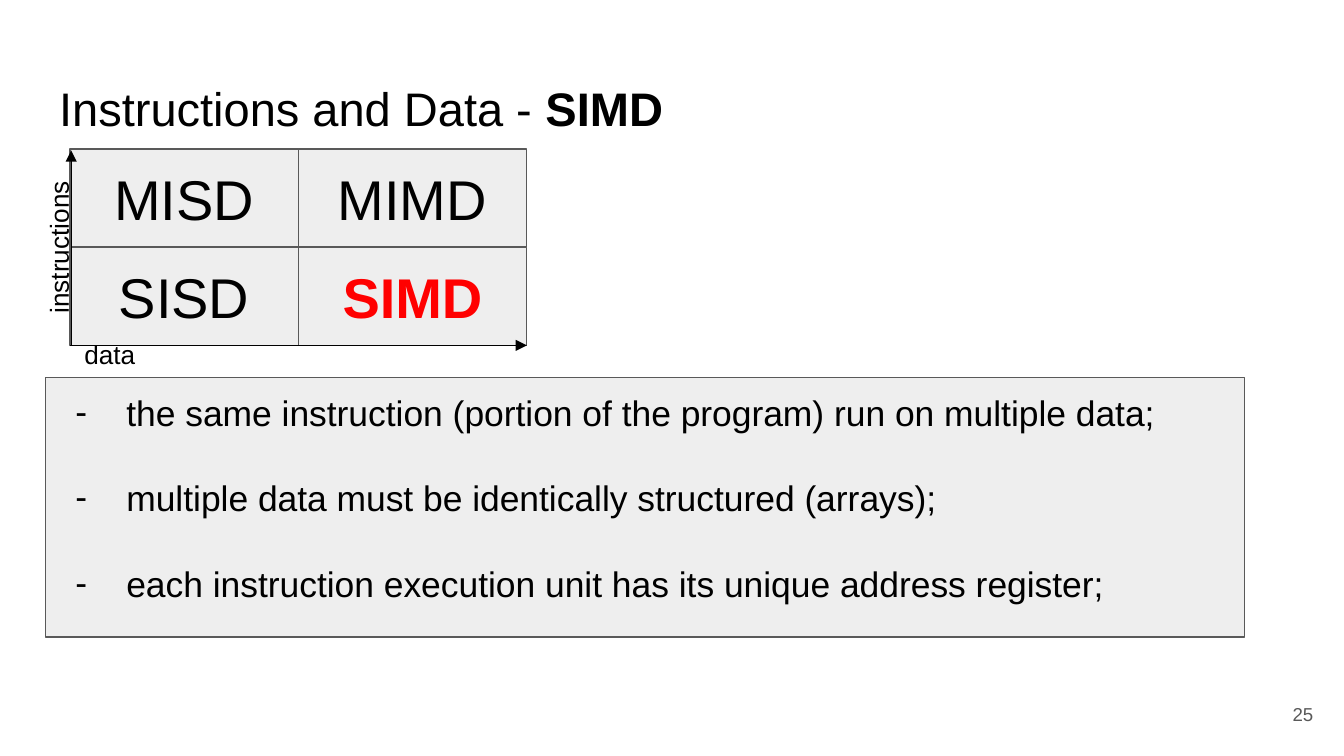
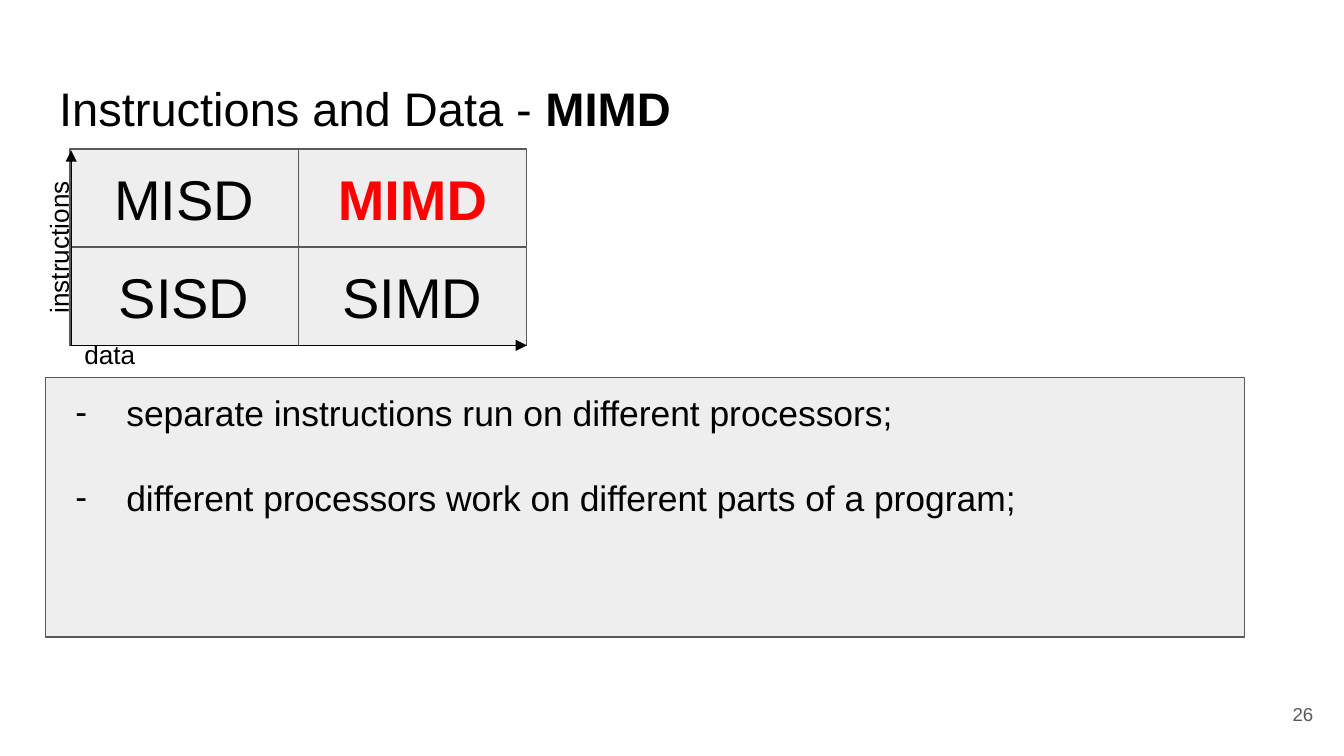
from lxml.etree import SubElement
from pptx import Presentation
from pptx.dml.color import RGBColor
from pptx.enum.shapes import MSO_CONNECTOR as Connector, MSO_SHAPE as Preset
from pptx.enum.text import MSO_ANCHOR as Anchor, MSO_AUTO_SIZE as AutoSize, PP_ALIGN as Align
from pptx.oxml.ns import qn
from pptx.util import Inches, Pt

SLIDES = [
    (25, "SIMD", [
        "the same instruction (portion of the program) run on multiple data;",
        "multiple data must be identically structured (arrays);",
        "each instruction execution unit has its unique address register;",
    ]),
    (26, "MIMD", [
        "separate instructions run on different processors;",
        "different processors work on different parts of a program;",
    ]),
]
TITLE_START = "Instructions and Data - "
TAXONOMY = [["MISD", "MIMD"], ["SISD", "SIMD"]]
VERTICAL_LABEL, HORIZONTAL_LABEL = "instructions", "data"

FONT = "Arial"
BLACK, RED, GRAY, PALE = "000000", "FF0000", "595959", "EEEEEE"
WIDTH = 10
HEIGHT = WIDTH * 9 / 16
MARGIN = 0.34
GRID_LEFT, GRID_TOP = 0.52, 1.11
CELL_WIDTH, CELL_HEIGHT = 1.7, 0.73
GRID_RIGHT = GRID_LEFT + CELL_WIDTH * len(TAXONOMY[0])
GRID_BOTTOM = GRID_TOP + CELL_HEIGHT * len(TAXONOMY)
INSET = 0.1


def color(value):
    return RGBColor.from_string(value)


def place(shape, left, top, width, height):
    shape.left, shape.top = Inches(left), Inches(top)
    shape.width, shape.height = Inches(width), Inches(height)


def paint(shape):
    shape.fill.solid()
    shape.fill.fore_color.rgb = color(PALE)
    shape.line.color.rgb = color(GRAY)
    shape.line.width = Pt(0.75)


def add_dash(paragraph):
    properties = paragraph._p.get_or_add_pPr()
    properties.set("marL", str(Inches(0.5)))
    properties.set("indent", str(Inches(-0.38)))
    bullet_color = SubElement(properties, qn("a:buClr"))
    SubElement(bullet_color, qn("a:srgbClr"), val=BLACK)
    SubElement(properties, qn("a:buFont"), typeface=FONT)
    SubElement(properties, qn("a:buChar"), char="-")


def write(shape, paragraphs, size, ink=BLACK, bold=(), align=Align.LEFT,
          anchor=Anchor.MIDDLE, gap=0, dashes=False):
    frame = shape.text_frame
    frame.word_wrap = True
    frame.auto_size = AutoSize.NONE
    frame.vertical_anchor = anchor
    frame.margin_left = frame.margin_right = Inches(INSET)
    frame.margin_top = frame.margin_bottom = Inches(INSET)
    for index, runs in enumerate(paragraphs):
        paragraph = frame.add_paragraph() if index else frame.paragraphs[0]
        paragraph.alignment = align
        paragraph.space_before = Pt(gap if index else 0)
        if dashes:
            add_dash(paragraph)
        for text in runs:
            run = paragraph.add_run()
            run.text = text
            run.font.name, run.font.size = FONT, Pt(size)
            run.font.bold = text in bold
            run.font.color.rgb = color(ink)


def add_label(shapes, box, text, size, **style):
    label = shapes.add_textbox(*map(Inches, box))
    write(label, [[text]], size, **style)
    return label


def add_axis(shapes, *points):
    axis = shapes.add_connector(Connector.STRAIGHT, *map(Inches, points))
    axis.line.color.rgb = color(BLACK)
    axis.line.width = Pt(0.75)
    SubElement(axis.line._get_or_add_ln(), qn("a:tailEnd"), type="triangle")
    SubElement(axis._element.spPr, qn("a:effectLst"))


def add_taxonomy(slide, current):
    shapes = slide.shapes.add_group_shape().shapes
    for row, names in enumerate(TAXONOMY):
        for column, name in enumerate(names):
            cell = shapes.add_shape(
                Preset.RECTANGLE,
                Inches(GRID_LEFT + column * CELL_WIDTH), Inches(GRID_TOP + row * CELL_HEIGHT),
                Inches(CELL_WIDTH), Inches(CELL_HEIGHT))
            cell.shadow.inherit = False
            paint(cell)
            write(cell, [[name]], 30, ink=RED if name == current else BLACK,
                  bold=(current,), align=Align.CENTER)
    add_axis(shapes, GRID_LEFT + 0.01, GRID_BOTTOM, GRID_LEFT + 0.01, GRID_TOP + 0.01)
    label = add_label(shapes, (-0.29, 1.75, 1.45, 0.18), VERTICAL_LABEL, 14, align=Align.CENTER)
    label.rotation = 270
    add_axis(shapes, GRID_LEFT, GRID_BOTTOM, GRID_RIGHT, GRID_BOTTOM)
    add_label(shapes, (GRID_LEFT + 0.01, GRID_BOTTOM, CELL_WIDTH, 0.13), HORIZONTAL_LABEL, 14)


def add_slide(presentation, number, current, points):
    slide = presentation.slides.add_slide(presentation.slide_layouts[1])
    title, body = slide.shapes.title, slide.placeholders[1]
    place(title, MARGIN, 0.49, WIDTH - 2 * MARGIN, 0.63)
    write(title, [[TITLE_START, current]], 25.2, bold=(current,), anchor=Anchor.TOP)
    add_label(slide.shapes, (9.27, 5.1, 0.6, 0.43), str(number), 10, ink=GRAY, align=Align.RIGHT)
    add_taxonomy(slide, current)
    place(body, MARGIN, 2.81, 8.92, 1.93)
    paint(body)
    write(body, [[point] for point in points], 19, anchor=Anchor.TOP, gap=23, dashes=True)


def main():
    presentation = Presentation()
    presentation.slide_width, presentation.slide_height = Inches(WIDTH), Inches(HEIGHT)
    for content in SLIDES:
        add_slide(presentation, *content)
    presentation.save("out.pptx")


if __name__ == "__main__":
    main()
